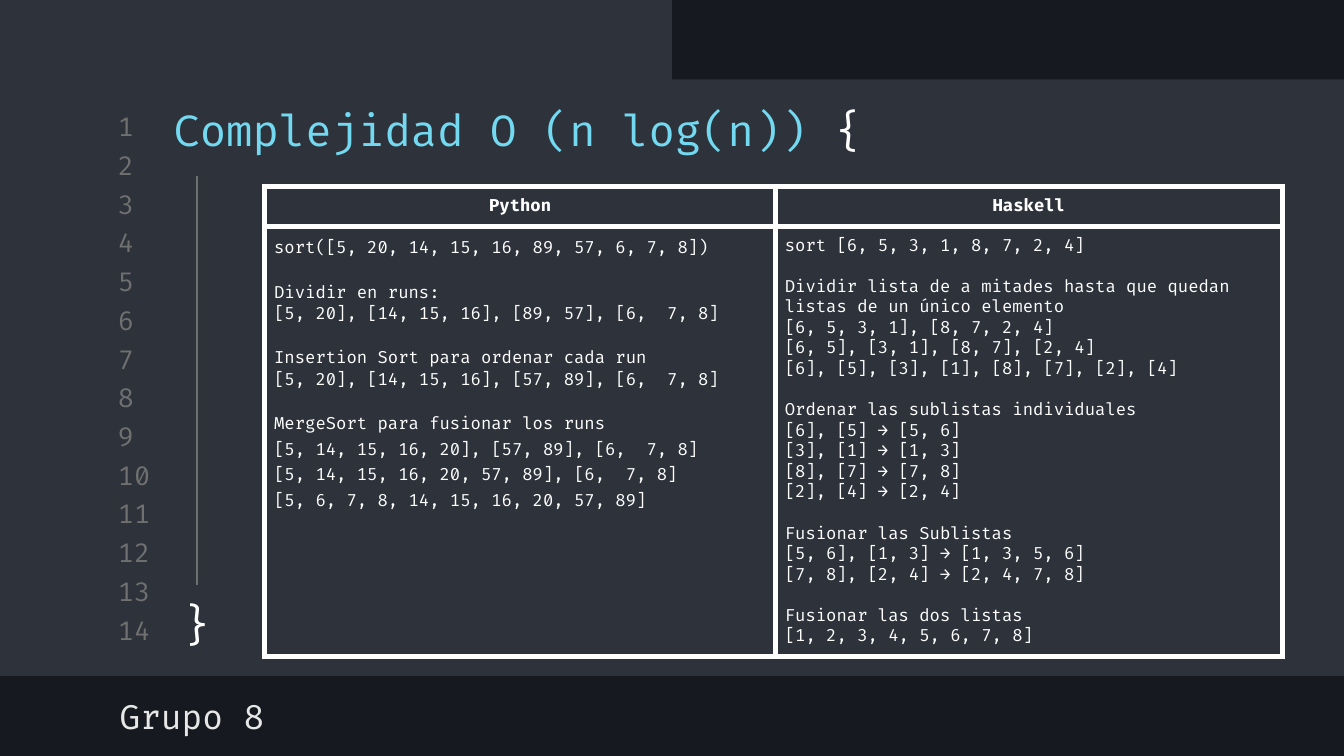
import collections

import lxml.etree
import pptx
import pptx.dml.color
import pptx.enum.shapes
import pptx.enum.text
import pptx.oxml
import pptx.oxml.ns
import pptx.util

Box = collections.namedtuple("Box", "left top width height")
Line = collections.namedtuple("Line", "text before spacing", defaults=(0, 1))

WIDTH, HEIGHT = pptx.util.Inches(10), pptx.util.Inches(5.625)
COLUMN, ROW = WIDTH / 100, HEIGHT / 56.25
FONT = "Fira Code"
COLORS = {"night": "16191F", "panel": "2E323B", "dim": "707070",
          "cyan": "72D9F0", "white": "FFFFFF", "pale": "E7E7E7"}
ANCHOR = pptx.enum.text.MSO_ANCHOR
ALIGN = pptx.enum.text.PP_ALIGN

PYTHON_STEPS = [
    Line("sort([5, 20, 14, 15, 16, 89, 57, 6, 7, 8])", 0, 1.11),
    Line("Dividir en runs:", 12, 1.11),
    Line("[5, 20], [14, 15, 16], [89, 57], [6,  7, 8]"),
    Line("Insertion Sort para ordenar cada run", 11, 1.15),
    Line("[5, 20], [14, 15, 16], [57, 89], [6,  7, 8]", 1),
    Line("MergeSort para fusionar los runs", 11, 1.15),
    Line("[5, 14, 15, 16, 20], [57, 89], [6,  7, 8]", 1, 1.15),
    Line("[5, 14, 15, 16, 20, 57, 89], [6,  7, 8]", 1, 1.15),
    Line("[5, 6, 7, 8, 14, 15, 16, 20, 57, 89]", 1, 1.15),
]
HASKELL_STEPS = [
    Line("sort [6, 5, 3, 1, 8, 7, 2, 4]"),
    Line("Dividir lista de a mitades hasta que quedan listas de un único elemento", 11),
    Line("[6, 5, 3, 1], [8, 7, 2, 4]"),
    Line("[6, 5], [3, 1], [8, 7], [2, 4]"),
    Line("[6], [5], [3], [1], [8], [7], [2], [4]"),
    Line("Ordenar las sublistas individuales", 11),
    Line("[6], [5] → [5, 6]"),
    Line("[3], [1] → [1, 3]"),
    Line("[8], [7] → [7, 8]"),
    Line("[2], [4] → [2, 4]"),
    Line("Fusionar las Sublistas", 11),
    Line("[5, 6], [1, 3] → [1, 3, 5, 6]"),
    Line("[7, 8], [2, 4] → [2, 4, 7, 8]"),
    Line("Fusionar las dos listas", 11),
    Line("[1, 2, 3, 4, 5, 6, 7, 8]"),
]


def rgb(name):
    """Return the named colour."""
    return pptx.dml.color.RGBColor.from_string(COLORS[name])


def place(box):
    """Turn a box of columns and rows into slide lengths."""
    return [round(length * unit) for length, unit in zip(box, (COLUMN, ROW) * 2)]


def style(font, size, color, bold=False):
    """Set the face, size, colour and weight of a font."""
    font.name, font.size, font.bold = FONT, pptx.util.Pt(size), bold
    font.color.rgb = rgb(color)


def prepare(frame, anchor):
    """Give a text frame its wrapping, insets and anchor."""
    frame.word_wrap = True
    frame.auto_size = pptx.enum.text.MSO_AUTO_SIZE.NONE
    frame.vertical_anchor = anchor
    frame.margin_left = frame.margin_right = round(COLUMN)
    frame.margin_top = frame.margin_bottom = round(ROW)


def add_label(shapes, box, text, size, color, anchor=ANCHOR.MIDDLE, align=ALIGN.LEFT):
    """Add a one-line text box."""
    label = shapes.add_textbox(*place(box))
    prepare(label.text_frame, anchor)
    para = label.text_frame.paragraphs[0]
    para.text, para.alignment = text, align
    style(para.font, size, color)
    return label


def fill_placeholder(holder, box, spans, size):
    """Move a placeholder to the front of its box and write coloured spans."""
    holder.element.getparent().append(holder.element)
    holder.left, holder.top, holder.width, holder.height = place(box)
    prepare(holder.text_frame, ANCHOR.MIDDLE)
    para = holder.text_frame.paragraphs[0]
    para.alignment, para.space_before = ALIGN.LEFT, pptx.util.Pt(0)
    for text, color in spans:
        span = para.add_run()
        span.text = text
        style(span.font, size, color)


def add_panel(page, box):
    """Add a plain rectangle of the editor window."""
    panel = page.shapes.add_shape(pptx.enum.shapes.MSO_SHAPE.RECTANGLE, *place(box))
    panel.shadow.inherit = False
    panel.fill.solid()
    panel.fill.fore_color.rgb = rgb("panel")
    panel.line.fill.background()


def add_line_numbers(page, box, count):
    """Number the editor lines at equal steps down the box."""
    step = box.height / count
    for index in range(count):
        cell = Box(box.left, box.top + index * step, box.width, 2.4)
        add_label(page.shapes, cell, str(index + 1), 14, "dim")


def add_closing_brace(page, box, brace_height):
    """Draw the block guide from the top of the box to its closing brace."""
    group = page.shapes.add_group_shape()
    brace_top = box.top + box.height - brace_height
    brace_box = Box(box.left, brace_top, box.width, brace_height)
    brace = add_label(group.shapes, brace_box, "}", 23, "white", ANCHOR.TOP, ALIGN.CENTER)
    middle = box.left + box.width / 2
    start_x, start_y, end_x, end_y = place(Box(middle, box.top, middle, brace_top))
    guide = group.shapes.add_connector(
        pptx.enum.shapes.MSO_CONNECTOR.STRAIGHT, start_x, start_y, end_x, end_y)
    guide.end_connect(brace, 0)
    guide.line.color.rgb, guide.line.width = rgb("dim"), pptx.util.Pt(0.75)
    lxml.etree.SubElement(guide.element.spPr, pptx.oxml.ns.qn("a:effectLst"))


def border_cell(cell):
    """Draw white borders around a cell without a fill."""
    cell.fill.background()
    properties = cell._tc.get_or_add_tcPr()
    for index, side in enumerate(("lnL", "lnR", "lnT", "lnB")):
        properties.insert(index, pptx.oxml.parse_xml(
            f'<a:{side} {pptx.oxml.ns.nsdecls("a")} w="{pptx.util.Pt(3)}">'
            f'<a:solidFill><a:srgbClr val="{COLORS["white"]}"/></a:solidFill></a:{side}>'))


def fill_cell(cell, lines, align, bold):
    """Write spaced lines into a table cell."""
    cell.margin_left = cell.margin_right = round(0.7 * COLUMN)
    cell.margin_top = cell.margin_bottom = round(0.7 * ROW)
    for index, line in enumerate(lines):
        frame = cell.text_frame
        para = frame.add_paragraph() if index else frame.paragraphs[0]
        para.text, para.alignment, para.line_spacing = line.text, align, line.spacing
        para.space_before = pptx.util.Pt(line.before)
        style(para.font, 9, "white", bold)
    border_cell(cell)


def add_comparison(page, box, header_height):
    """Compare the sorting steps of both languages in a table."""
    table = page.shapes.add_table(2, 2, *place(box)).table
    table.first_row = table.horz_banding = False
    for column, width in zip(table.columns, (38, box.width - 38)):
        column.width = round(width * COLUMN)
    for row, height in zip(table.rows, (header_height, box.height - header_height)):
        row.height = round(height * ROW)
    languages = (("Python", PYTHON_STEPS), ("Haskell", HASKELL_STEPS))
    for index, (language, steps) in enumerate(languages):
        fill_cell(table.cell(0, index), [Line(language)], ALIGN.CENTER, True)
        fill_cell(table.cell(1, index), steps, ALIGN.LEFT, False)


def build_page(deck):
    """Build the complexity slide."""
    page = deck.slides.add_slide(deck.slide_layouts[0])
    page.background.fill.solid()
    page.background.fill.fore_color.rgb = rgb("night")
    add_panel(page, Box(0, 5.9, 100, 44.4))
    add_panel(page, Box(0, 0, 50, 6.9))
    add_line_numbers(page, Box(7.8, 8.2, 4.7, 40.33), 14)
    fill_placeholder(page.shapes.title, Box(11.9, 6.9, 78.9, 5.5),
                     [("Complejidad O (n log(n)) ", "cyan"), ("{", "white")], 23)
    add_closing_brace(page, Box(11.9, 13.1, 5.5, 36.3), 5.9)
    add_comparison(page, Box(19.7, 13.9, 75.7, 34.2), 2.8)
    fill_placeholder(page.placeholders[1], Box(7.9, 51.3, 53.2, 3.9),
                     [("Grupo 8", "pale")], 18)


def main():
    """Create and save the deck."""
    deck = pptx.Presentation()
    deck.slide_width, deck.slide_height = WIDTH, HEIGHT
    build_page(deck)
    deck.save("out.pptx")


if __name__ == "__main__":
    main()
